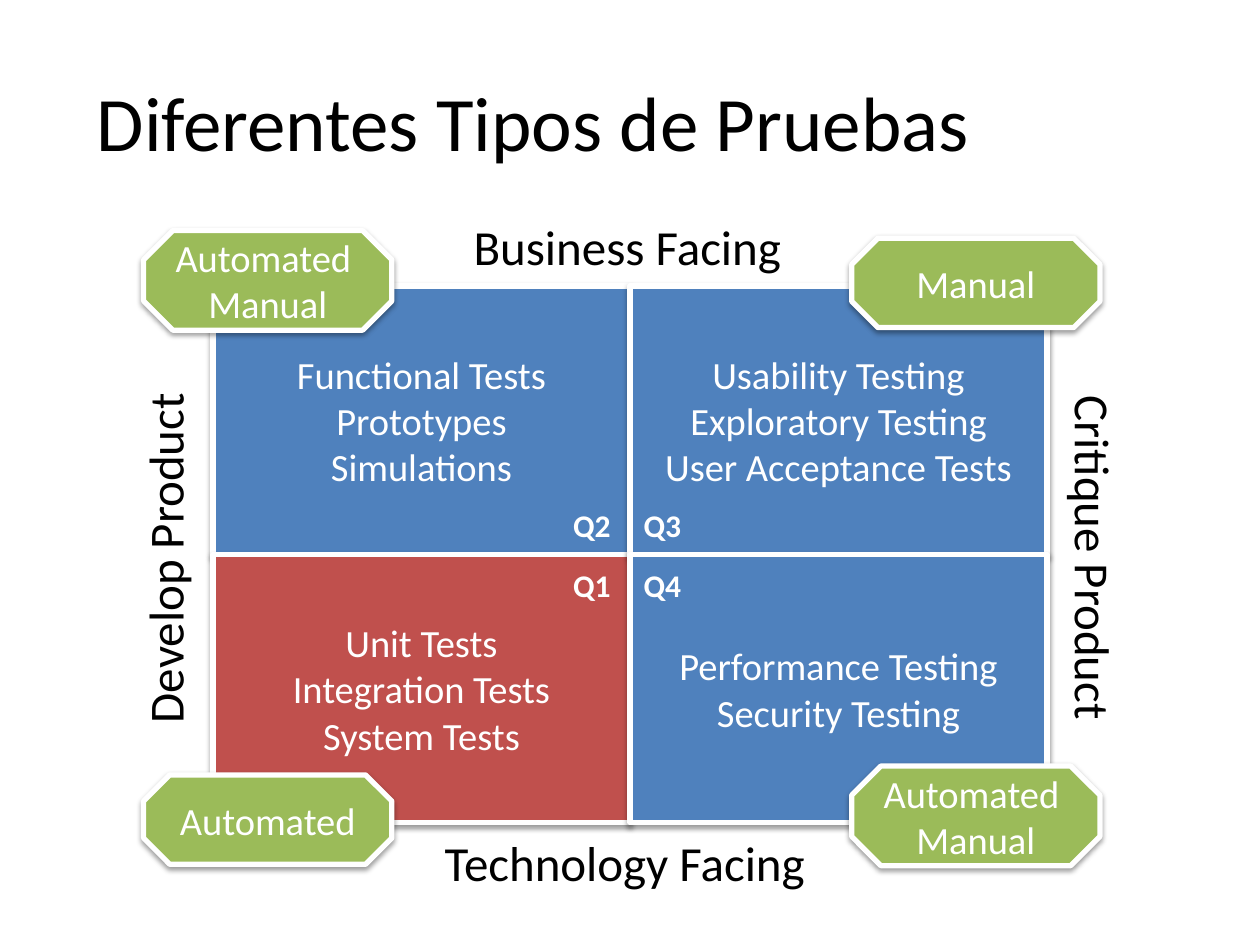
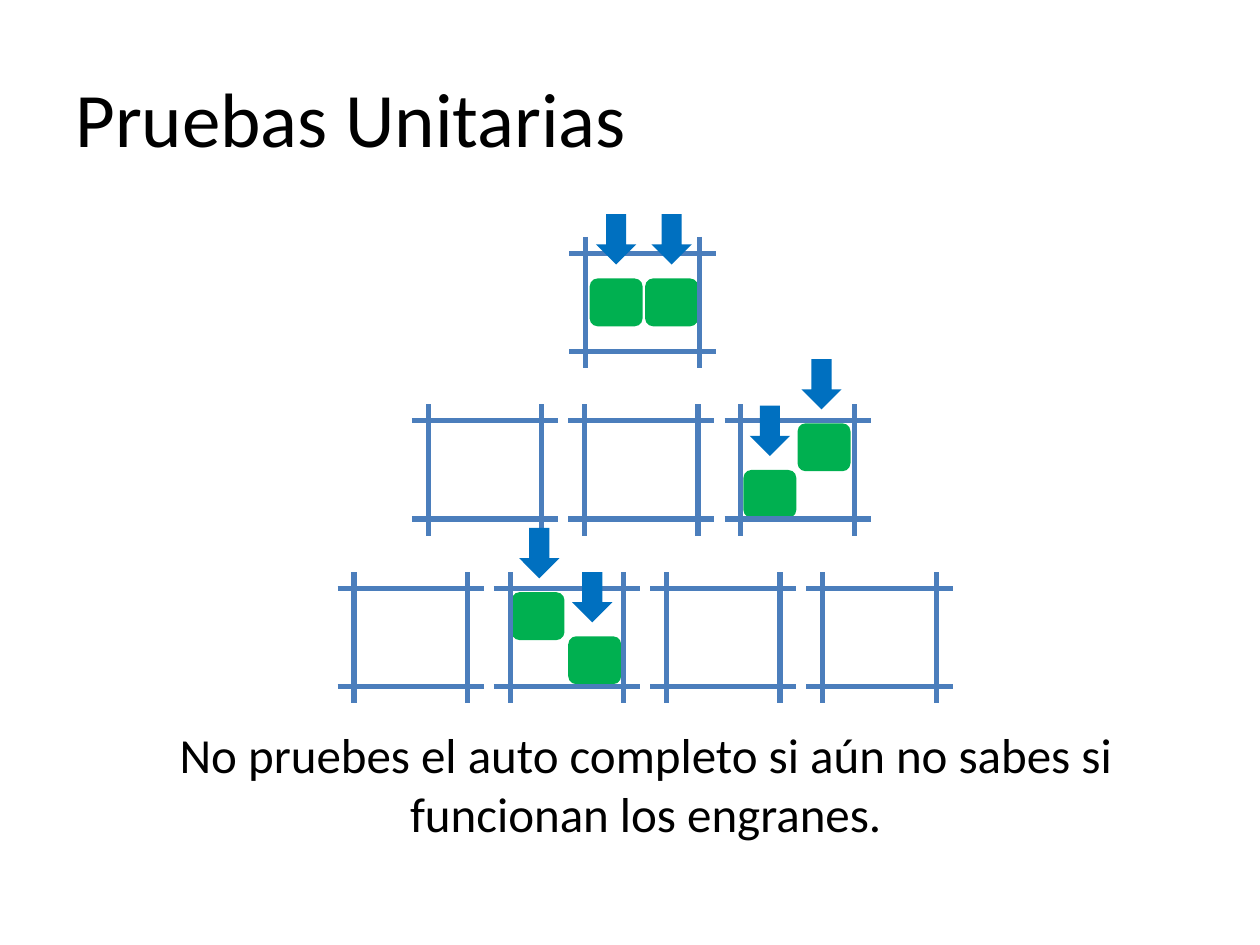
"""Build two slides on testing: the test quadrants and unit tests."""
from lxml import etree
from pptx import Presentation
from pptx.dml.color import RGBColor
from pptx.enum.shapes import MSO_CONNECTOR, MSO_SHAPE
from pptx.enum.text import MSO_ANCHOR, MSO_AUTO_SIZE, PP_ALIGN
from pptx.oxml.ns import qn
from pptx.util import Inches, Pt

RECT, OCTAGON = MSO_SHAPE.RECTANGLE, MSO_SHAPE.OCTAGON
ROUND, ARROW = MSO_SHAPE.ROUNDED_RECTANGLE, MSO_SHAPE.DOWN_ARROW
STRAIGHT = MSO_CONNECTOR.STRAIGHT
LEFT, CENTER = PP_ALIGN.LEFT, PP_ALIGN.CENTER
TOP, MIDDLE = MSO_ANCHOR.TOP, MSO_ANCHOR.MIDDLE
GROW = MSO_AUTO_SIZE.SHAPE_TO_FIT_TEXT

FONT = "Calibri"
BLACK, WHITE = "000000", "FFFFFF"
BLUE, RED, OLIVE = "4F81BD", "C0504D", "9BBB59"
STEEL, GREEN, AZURE = "4B7EBC", "00B050", "0070C0"

TITLES = [
    ("Diferentes Tipos de Pruebas", (0.67, 0.33, 8.54, 1.25)),
    ("Pruebas Unitarias", (0.5, 0.3, 9.27, 1.25)),
]

QUADS = [
    (0, 0, BLUE, "Functional Tests\nPrototypes\nSimulations"),
    (0, 1, RED, "Unit Tests\nIntegration Tests\nSystem Tests"),
    (1, 0, BLUE, "Usability Testing\nExploratory Testing\vUser Acceptance Tests"),
    (1, 1, BLUE, "Performance Testing\nSecurity Testing"),
]
QUAD_X, QUAD_Y, QUAD_W, QUAD_H = 1.69, 2.27, 3.31, 2.13

SIDES = [
    ("Business Facing", (3.66, 1.67, 2.68, 0.57), LEFT, None),
    ("Technology Facing", (3.43, 6.56, 3.14, 0.57), LEFT, None),
    ("Develop Product", (1.02, 3.05, 0.67, 2.76), CENTER, "vert270"),
    ("Critique Product", (8.3, 3.04, 0.67, 2.71), LEFT, "vert"),
]
BADGES = [
    ("Manual", 6.76, 1.89, 0.71),
    ("Automated \vManual", 6.76, 6.08, 0.79),
    ("Automated \vManual", 1.14, 1.83, 0.79),
    ("Automated", 1.14, 6.15, 0.71),
]
BADGE_W = 1.97
TAGS = [("Q1", 4.45, 4.44), ("Q2", 4.45, 3.97), ("Q3", 5.01, 3.97), ("Q4", 5.01, 4.44)]

ROWS = [(4.52, 1), (3.27, 3), (2.68, 4)]
ROW_Y, ROW_STEP, COL_STEP = 1.88, 1.33, 1.24
FRAME_W, FRAME_H, INSET = 1.16, 1.04, 0.13
GEARS = [
    (4.68, 2.21, 4.73), (5.12, 2.21, 5.17),
    (5.9, 3.73, 5.95), (6.33, 3.36, 6.36),
    (4.06, 4.7, 4.12), (4.51, 5.05, 4.54),
]
GEAR_W, GEAR_H = 0.42, 0.38
ARROW_W, ARROW_H, ARROW_UP = 0.32, 0.4, 0.51
MOTTO = "No pruebes el auto completo si aún no sabes si funcionan los engranes."


def paint(color):
    return RGBColor.from_string(color)


def write(shape, text, size, color=BLACK, align=LEFT, anchor=TOP, bold=False):
    frame = shape.text_frame
    frame.text = text
    frame.word_wrap = True
    frame.vertical_anchor = anchor
    for para in frame.paragraphs:
        para.alignment = align
        for run in para.runs:
            font = run.font
            font.name, font.size, font.bold = FONT, Pt(size), bold
            font.color.rgb = paint(color)


def label(slide, text, box, size, wrap=False, turn=None, **style):
    shape = slide.shapes.add_textbox(*map(Inches, box))
    write(shape, text, size, **style)
    frame = shape.text_frame
    frame.word_wrap = wrap
    frame.auto_size = GROW
    if turn:
        frame._txBody.bodyPr.set("vert", turn)


def block(slide, kind, box, fill):
    shape = slide.shapes.add_shape(kind, *map(Inches, box))
    shape.shadow.inherit = False
    shape.fill.solid()
    shape.fill.fore_color.rgb = paint(fill)
    shape.line.fill.background()
    return shape


def card(slide, kind, box, fill, text):
    shape = block(slide, kind, box, fill)
    shape.line.color.rgb = paint(WHITE)
    shape.line.width = Pt(3)
    effects = shape._element.spPr.find(qn("a:effectLst"))
    shade = etree.SubElement(effects, qn("a:outerShdw"), blurRad=str(Pt(3.1)),
                             dist=str(Pt(1.6)), dir="5400000", rotWithShape="0")
    tint = etree.SubElement(shade, qn("a:srgbClr"), val=BLACK)
    etree.SubElement(tint, qn("a:alpha"), val="38000")
    write(shape, text, 22, WHITE, CENTER, MIDDLE)


def bar(slide, *ends):
    line = slide.shapes.add_connector(STRAIGHT, *map(Inches, ends))
    line.line.color.rgb = paint(STEEL)
    line.line.width = Pt(3)
    etree.SubElement(line._element.spPr, qn("a:effectLst"))


def lattice(slide, x, y):
    right, low = x + FRAME_W, y + FRAME_H
    for level in (y + INSET, low - INSET):
        bar(slide, x, level, right, level)
    for post in (x + INSET, right - INSET):
        bar(slide, post, y, post, low)


def start(deck, title, box):
    slide = deck.slides.add_slide(deck.slide_layouts[6])
    shape = slide.shapes.add_textbox(*map(Inches, box))
    write(shape, title, 44, anchor=MIDDLE)
    return slide


def draw_quads(slide):
    for col, row, fill, text in QUADS:
        box = (QUAD_X + col * QUAD_W, QUAD_Y + row * QUAD_H, QUAD_W, QUAD_H)
        card(slide, RECT, box, fill, text)
    for text, box, align, turn in SIDES:
        label(slide, text, box, 28, turn=turn, align=align)
    for text, x, y, high in BADGES:
        card(slide, OCTAGON, (x, y, BADGE_W, high), OLIVE, text)
    for text, x, y in TAGS:
        label(slide, text, (x, y, 0.5, 0.4), 18, color=WHITE, bold=True)


def draw_units(slide):
    for x, y, _ in GEARS:
        block(slide, ROUND, (x, y, GEAR_W, GEAR_H), GREEN)
    for row, (x, count) in enumerate(ROWS):
        for col in range(count):
            lattice(slide, x + col * COL_STEP, ROW_Y + row * ROW_STEP)
    for _, y, x in GEARS:
        block(slide, ARROW, (x, y - ARROW_UP, ARROW_W, ARROW_H), AZURE)
    label(slide, MOTTO, (0.76, 5.7, 8.73, 1.04), 28, wrap=True, align=CENTER)


def main():
    deck = Presentation()
    deck.slide_width, deck.slide_height = Inches(10), Inches(7.5)
    for (title, box), draw in zip(TITLES, (draw_quads, draw_units)):
        draw(start(deck, title, box))
    deck.save("out.pptx")


if __name__ == "__main__":
    main()
